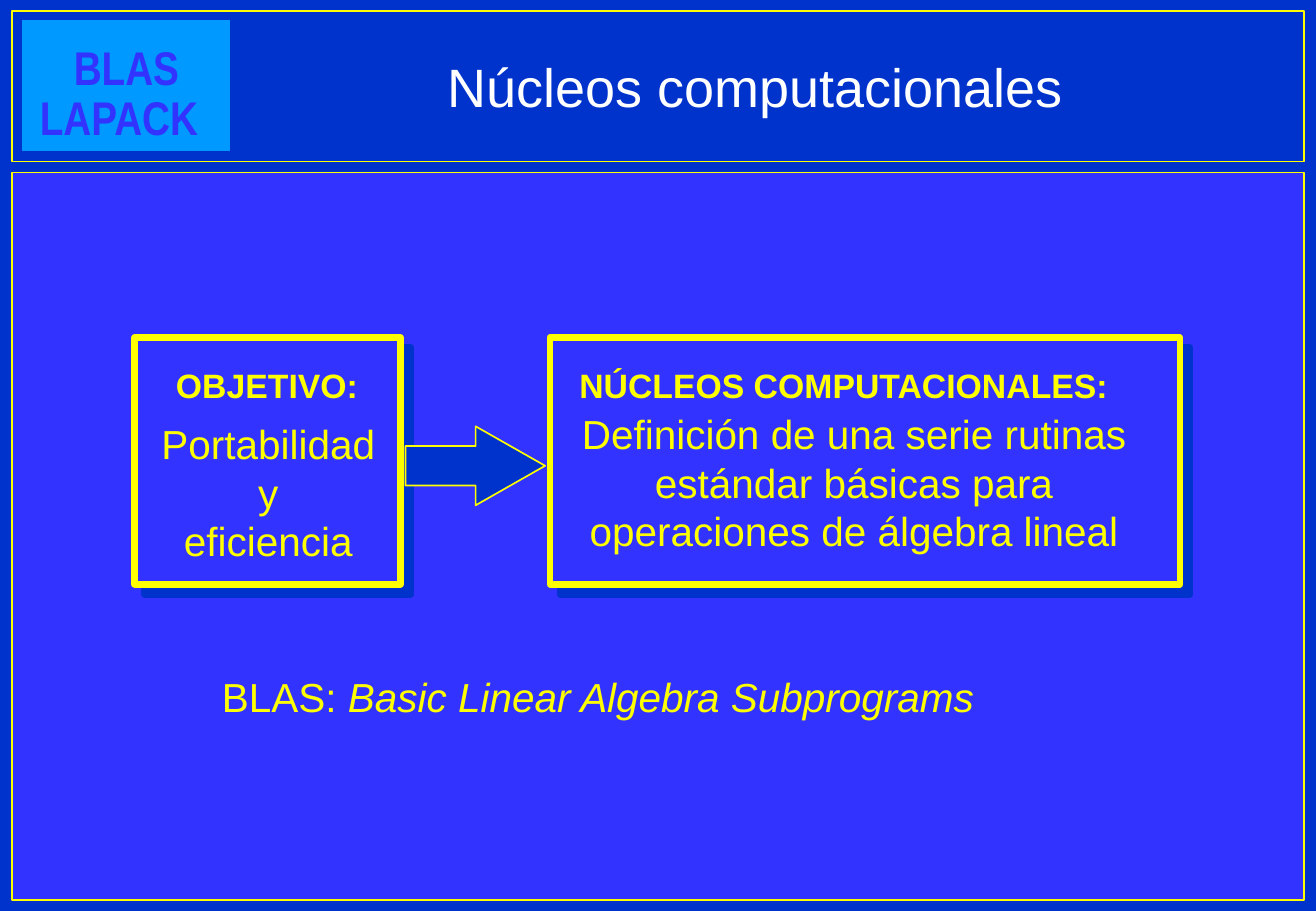
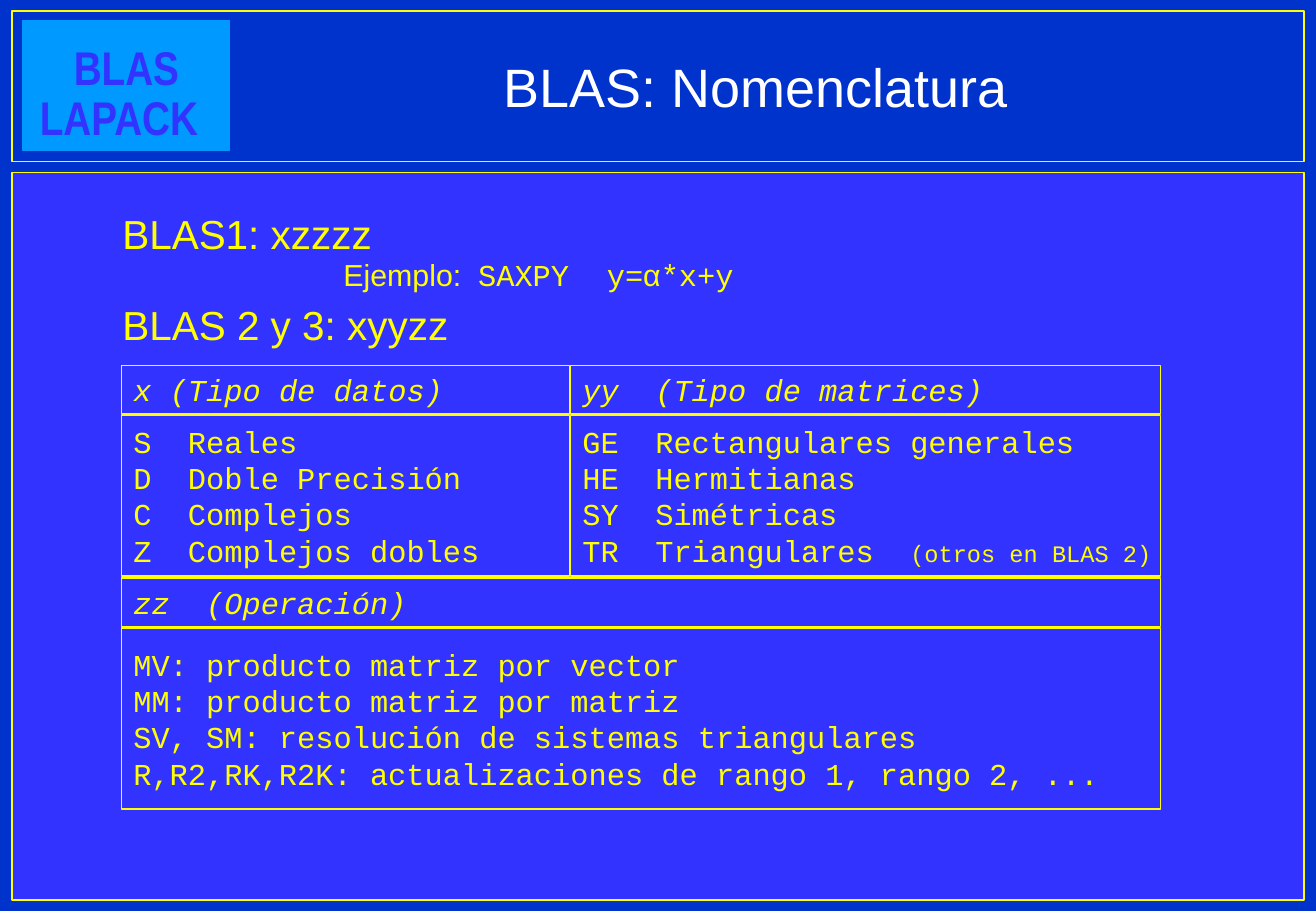
from dataclasses import dataclass, replace

from lxml.etree import SubElement
from pptx import Presentation
from pptx.dml.color import RGBColor
from pptx.enum.shapes import MSO_SHAPE as Kind
from pptx.enum.text import MSO_ANCHOR as Anchor, PP_ALIGN as Align
from pptx.oxml.ns import qn
from pptx.shapes.autoshape import Shape
from pptx.slide import Slide
from pptx.text.text import TextFrame
from pptx.util import Inches, Pt

NAVY = RGBColor(0x00, 0x33, 0xCC)
BLUE = RGBColor(0x33, 0x33, 0xFF)
SKY = RGBColor(0x00, 0x99, 0xFF)
GOLD = RGBColor(0xFF, 0xFF, 0x00)
WHITE = RGBColor(0xFF, 0xFF, 0xFF)
THIN, THICK = 1, 4


@dataclass(frozen=True)
class Box:
    """A place on the slide, in inches."""
    left: float
    top: float
    width: float
    height: float

    def lengths(self) -> list[Inches]:
        """Give the four lengths in the order python-pptx takes them."""
        return [Inches(n) for n in (self.left, self.top, self.width, self.height)]


@dataclass(frozen=True)
class Style:
    """The look of a run of text."""
    size: int
    font: str = "Arial"
    color: RGBColor = GOLD
    bold: bool = False
    ital: bool = False


@dataclass(frozen=True)
class Part:
    """A run of text and its look."""
    text: str
    style: Style


@dataclass(frozen=True)
class Block:
    """Lines of text at a place, with alignment and tab stops."""
    box: Box
    lines: list[list[Part]]
    mid: bool = False
    tabs: tuple[float, ...] = ()


HEAD = Style(32, color=WHITE)
BADGE = Style(28, "Arial Narrow", BLUE, bold=True)
BODY = Style(24)
LABEL = Style(20, bold=True)
SMALL = Style(18)
CODE = Style(18, "Courier New")
TOPIC = replace(CODE, ital=True)
ASIDE = replace(CODE, size=14)


def rows(style: Style, *texts: str) -> list[list[Part]]:
    """Make one single-style line from each text."""
    return [[Part(text, style)] for text in texts]


def write(frame: TextFrame, block: Block, anchor: Anchor) -> None:
    """Fill a text frame with the lines of a block."""
    frame.word_wrap = True
    frame.vertical_anchor = anchor
    frame.margin_left = Inches(0 if block.mid else 0.1)
    frame.margin_right = 0
    frame.text = "\n".join("" for _ in block.lines)
    for para, line in zip(frame.paragraphs, block.lines):
        para.alignment = Align.CENTER if block.mid else Align.LEFT
        if block.tabs:
            stops = SubElement(para._p.get_or_add_pPr(), qn("a:tabLst"))
            for stop in block.tabs:
                SubElement(stops, qn("a:tab"), pos=str(Inches(stop)), algn="l")
        for part in line:
            run = para.add_run()
            run.text = part.text
            font, style = run.font, part.style
            font.name, font.size = style.font, Pt(style.size)
            font.bold, font.italic = style.bold, style.ital
            font.color.rgb = style.color


def label(slide: Slide, block: Block, anchor: Anchor = Anchor.TOP) -> None:
    """Add a text box."""
    write(slide.shapes.add_textbox(*block.box.lengths()).text_frame, block, anchor)


def shape(slide: Slide, box: Box, fill: RGBColor | None, line: RGBColor = GOLD,
          width: float = THIN, kind: Kind = Kind.RECTANGLE) -> Shape:
    """Add a preset shape with a line and, if given, a fill."""
    item = slide.shapes.add_shape(kind, *box.lengths())
    item.shadow.inherit = False
    if fill is None:
        item.fill.background()
    else:
        item.fill.solid()
        item.fill.fore_color.rgb = fill
    item.line.color.rgb = line
    item.line.width = Pt(width)
    return item


def panel(slide: Slide, box: Box) -> None:
    """Add a thick-edged panel with a hard shadow."""
    item = shape(slide, box, BLUE, width=THICK)
    effects = item._element.spPr.find(qn("a:effectLst"))
    shade = SubElement(effects, qn("a:outerShdw"), dist=str(Pt(8.5)),
                       dir=str(45 * 60000), algn="ctr", rotWithShape="0")
    SubElement(shade, qn("a:srgbClr"), val=str(NAVY))


def cell(slide: Slide, block: Block) -> None:
    """Add an outlined grid cell with text."""
    write(shape(slide, block.box, None).text_frame, block, Anchor.MIDDLE)


def start(deck: Presentation, title: str) -> Slide:
    """Add a slide with the shared frame, badge and title."""
    slide = deck.slides.add_slide(deck.slide_layouts[6])
    back = slide.background.fill
    back.solid()
    back.fore_color.rgb = NAVY
    shape(slide, Box(0.1, 1.42, 10.64, 5.99), BLUE)
    shape(slide, Box(0.1, 0.09, 10.64, 1.24), NAVY)
    shape(slide, Box(0.19, 0.17, 1.7, 1.07), SKY, SKY)
    label(slide, Block(Box(0.51, 0.27, 1.07, 0.57), rows(BADGE, "BLAS")))
    label(slide, Block(Box(0.23, 0.68, 1.53, 0.57), rows(BADGE, "LAPACK")))
    label(slide, Block(Box(2.81, 0.42, 6.83, 0.58), rows(HEAD, title), mid=True),
          Anchor.MIDDLE)
    return slide


def kernels(deck: Presentation) -> None:
    """Build the slide on the goal and the kernels."""
    slide = start(deck, "Núcleos computacionales")
    for left, width in ((1.11, 2.19), (4.53, 5.19)):
        panel(slide, Box(left, 2.78, width, 2.03))
    arrow = shape(slide, Box(3.34, 3.51, 1.15, 0.65), NAVY, kind=Kind.RIGHT_ARROW)
    arrow.adjustments[0], arrow.adjustments[1] = 0.5, 0.88
    blocks = [
        Block(Box(1.35, 2.95, 1.7, 0.43), rows(LABEL, "OBJETIVO:"), mid=True),
        Block(Box(1.23, 3.4, 1.96, 1.3),
              rows(BODY, "Portabilidad", "y", "eficiencia"), mid=True),
        Block(Box(4.66, 2.95, 4.58, 0.43),
              rows(LABEL, "NÚCLEOS COMPUTACIONALES:"), mid=True),
        Block(Box(4.57, 3.32, 4.93, 1.3),
              rows(BODY, "Definición de una serie rutinas estándar básicas "
                         "para operaciones de álgebra lineal"), mid=True),
        Block(Box(1.73, 5.48, 6.41, 0.5),
              [[Part("BLAS: ", BODY),
                Part("Basic Linear Algebra Subprograms", replace(BODY, ital=True))]]),
    ]
    for block in blocks:
        label(slide, block)


def naming(deck: Presentation) -> None:
    """Build the slide on the naming rules."""
    slide = start(deck, "BLAS: Nomenclatura")
    blocks = [
        Block(Box(0.91, 1.67, 3.34, 0.5), rows(BODY, "BLAS1: xzzzz")),
        Block(Box(2.73, 2.06, 3.42, 0.4),
              [[Part("Ejemplo:\t", SMALL), Part("SAXPY\ty=", CODE),
                Part("α", SMALL), Part("*x+y", CODE)]], tabs=(1.11, 2.17)),
        Block(Box(0.91, 2.42, 4.09, 0.5), rows(BODY, "BLAS 2 y 3: xyyzz")),
    ]
    for block in blocks:
        label(slide, block)

    left, split, wide = 1, 4.7, 8.56
    near, far = 3.69, 4.86
    types = rows(CODE, "S\tReales", "D\tDoble Precisión", "C\tComplejos",
                 "Z\tComplejos dobles")
    forms = rows(CODE, "GE\tRectangulares generales", "HE\tHermitianas",
                 "SY\tSimétricas", "TR\tTriangulares\t")
    forms[-1].append(Part("(otros en BLAS 2)", ASIDE))
    tasks = rows(CODE, "MV: producto matriz por vector",
                 "MM: producto matriz por matriz",
                 "SV, SM: resolución de sistemas triangulares",
                 "R,R2,RK,R2K: actualizaciones de rango 1, rango 2, ...")
    cells = [
        Block(Box(left, 3.01, near, 0.4), rows(TOPIC, "x (Tipo de datos)")),
        Block(Box(split, 3.01, far, 0.4), rows(TOPIC, "yy\t(Tipo de matrices)"),
              tabs=(0.6,)),
        Block(Box(left, 3.42, near, 1.32), types, tabs=(0.45,)),
        Block(Box(split, 3.42, far, 1.32), forms, tabs=(0.6, 2.7)),
        Block(Box(left, 4.76, wide, 0.4), rows(TOPIC, "zz\t(Operación)"),
              tabs=(0.6,)),
        Block(Box(left, 5.17, wide, 1.49), tasks),
    ]
    for block in cells:
        cell(slide, block)


def main() -> None:
    """Build and save the deck."""
    deck = Presentation()
    deck.slide_width, deck.slide_height = Inches(10.84), Inches(7.5)
    kernels(deck)
    naming(deck)
    deck.save("out.pptx")


main()
